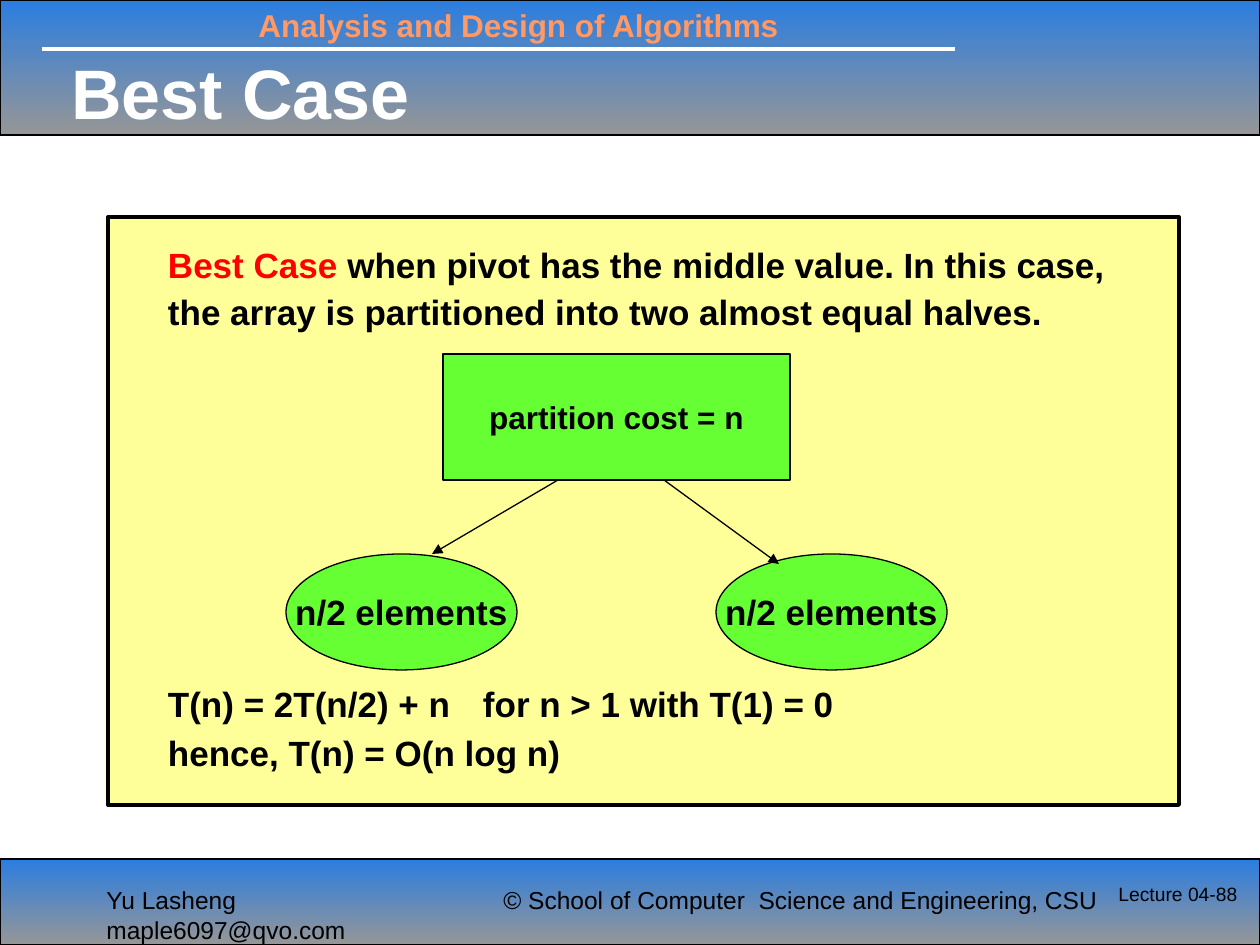
"""Build the lecture slide on the best case of partitioning."""
from dataclasses import dataclass

from lxml import etree
from pptx import Presentation
from pptx.dml.color import RGBColor
from pptx.enum.shapes import MSO_CONNECTOR, MSO_SHAPE
from pptx.enum.text import MSO_ANCHOR, PP_ALIGN
from pptx.oxml.ns import qn
from pptx.util import Emu, Pt

RECTANGLE, ELLIPSE = MSO_SHAPE.RECTANGLE, MSO_SHAPE.OVAL
STRAIGHT = MSO_CONNECTOR.STRAIGHT
TOP, MIDDLE = MSO_ANCHOR.TOP, MSO_ANCHOR.MIDDLE
LEFT, CENTER = PP_ALIGN.LEFT, PP_ALIGN.CENTER

PX_PER_INCH = 126
FONT = "Arial"
BLACK, WHITE, RED, ORANGE = "000000", "FFFFFF", "FF0000", "FF9966"
YELLOW, GREEN = "FFFF99", "66FF33"
BAND_TOP, BAND_BOTTOM = "2B7DE0", "969696"


@dataclass(frozen=True)
class Span:
    text: str
    size: int
    color: str = BLACK
    bold: bool = False


@dataclass(frozen=True)
class Label:
    left: int
    top: int
    width: int
    height: int
    span: Span
    anchor: MSO_ANCHOR = TOP
    wrap: bool = True


@dataclass(frozen=True)
class Node:
    kind: MSO_SHAPE
    left: int
    top: int
    width: int
    height: int
    span: Span


@dataclass(frozen=True)
class Line:
    start: tuple[int, int]
    end: tuple[int, int]
    color: str = BLACK
    weight: float = 0.75
    arrow: bool = True


@dataclass(frozen=True)
class Paragraph:
    spans: tuple[Span, ...]
    space_before: int = 0


BANDS = [(0, 135), (859, 86)]

LABELS = [
    Label(246, 0, 630, 50, Span("Analysis and Design of Algorithms", 18, ORANGE, True)),
    Label(94, 879, 404, 43, Span("Yu Lasheng  maple6097@qvo.com", 14), wrap=False),
    Label(491, 879, 645, 43,
          Span("© School of Computer  Science and Engineering, CSU", 14), wrap=False),
    Label(59, 49, 984, 86, Span("Best Case", 40, WHITE, True), MIDDLE),
    Label(1106, 876, 154, 63, Span("Lecture 04-88", 11)),
]

HALF = Span("n/2 elements", 20, bold=True)
NODES = [
    Node(ELLIPSE, 286, 554, 231, 116, HALF),
    Node(ELLIPSE, 716, 554, 231, 116, HALF),
    Node(RECTANGLE, 443, 354, 347, 126, Span("partition cost = n", 18, bold=True)),
]

LINES = [
    Line((42, 49), (955, 49), WHITE, 2.25, False),
    Line((558, 480), (432, 554)),
    Line((664, 480), (779, 564)),
]

BODY = [
    Paragraph((
        Span("Best Case ", 20, RED, True),
        Span("when pivot has the middle value. In this case, "
             "the array is partitioned into two almost equal halves.", 20, bold=True),
    )),
    Paragraph((Span("T(n) = 2T(n/2) + n \tfor n > 1 with T(1) = 0", 20, bold=True),), 197),
    Paragraph((Span("hence, T(n) = O(n log n)", 20, bold=True),), 1),
]


def px(value: int) -> Emu:
    """Turn slide pixels into EMU."""
    return Emu(round(value * 914400 / PX_PER_INCH))


def rgb(color: str) -> RGBColor:
    """Turn a hex string into a colour."""
    return RGBColor.from_string(color)


def add_span(para, span: Span) -> None:
    """Append one formatted run to a paragraph."""
    run = para.add_run()
    run.text = span.text
    run.font.name = FONT
    run.font.size = Pt(span.size)
    run.font.bold = span.bold
    run.font.color.rgb = rgb(span.color)


def add_outlined(page, kind: MSO_SHAPE, box: tuple[int, int, int, int], weight: float):
    """Add a preset shape with a black outline."""
    shape = page.shapes.add_shape(kind, *map(px, box))
    shape.shadow.inherit = False
    shape.line.color.rgb = rgb(BLACK)
    shape.line.width = Pt(weight)
    return shape


def add_band(page, top: int, height: int) -> None:
    """Add a full-width band fading downwards."""
    band = add_outlined(page, RECTANGLE, (0, top, 1260, height), 0.75)
    band.fill.gradient()
    band.fill.gradient_angle = 270
    for stop, color in zip(band.fill.gradient_stops, (BAND_TOP, BAND_BOTTOM)):
        stop.color.rgb = rgb(color)


def add_label(page, label: Label) -> None:
    """Add a text box with a single run."""
    box = page.shapes.add_textbox(
        *map(px, (label.left, label.top, label.width, label.height)))
    frame = box.text_frame
    frame.word_wrap = label.wrap
    frame.vertical_anchor = label.anchor
    add_span(frame.paragraphs[0], label.span)


def add_node(page, node: Node) -> None:
    """Add a green diagram node with centred text."""
    shape = add_outlined(
        page, node.kind, (node.left, node.top, node.width, node.height), 0.75)
    shape.fill.solid()
    shape.fill.fore_color.rgb = rgb(GREEN)
    frame = shape.text_frame
    frame.word_wrap = False
    frame.vertical_anchor = MIDDLE
    frame.paragraphs[0].alignment = CENTER
    add_span(frame.paragraphs[0], node.span)


def add_line(page, line: Line) -> None:
    """Add a straight line, with an arrowhead if asked for."""
    connector = page.shapes.add_connector(STRAIGHT, *map(px, line.start + line.end))
    connector.line.color.rgb = rgb(line.color)
    connector.line.width = Pt(line.weight)
    if line.arrow:
        etree.SubElement(connector.line._get_or_add_ln(), qn("a:tailEnd"), type="triangle")
    etree.SubElement(connector._element.spPr, qn("a:effectLst"))


def add_body(page, paragraphs: list[Paragraph]) -> None:
    """Add the yellow panel and its paragraphs."""
    panel = add_outlined(page, RECTANGLE, (108, 217, 1071, 588), 2.25)
    panel.fill.solid()
    panel.fill.fore_color.rgb = rgb(YELLOW)
    frame = panel.text_frame
    frame.word_wrap = True
    frame.vertical_anchor = TOP
    frame.margin_left, frame.margin_right = px(60), px(20)
    frame.margin_top, frame.margin_bottom = px(21), px(6)
    for index, paragraph in enumerate(paragraphs):
        para = frame.add_paragraph() if index else frame.paragraphs[0]
        para.alignment = LEFT
        para.line_spacing = Pt(27)
        para.space_before = Pt(paragraph.space_before)
        for span in paragraph.spans:
            add_span(para, span)


def main() -> None:
    """Draw the slide and save the deck."""
    deck = Presentation()
    deck.slide_width, deck.slide_height = px(1260), px(945)
    page = deck.slides.add_slide(deck.slide_layouts[6])
    for top, height in BANDS:
        add_band(page, top, height)
    add_body(page, BODY)
    for label in LABELS:
        add_label(page, label)
    for node in NODES:
        add_node(page, node)
    for line in LINES:
        add_line(page, line)
    deck.save("out.pptx")


if __name__ == "__main__":
    main()
